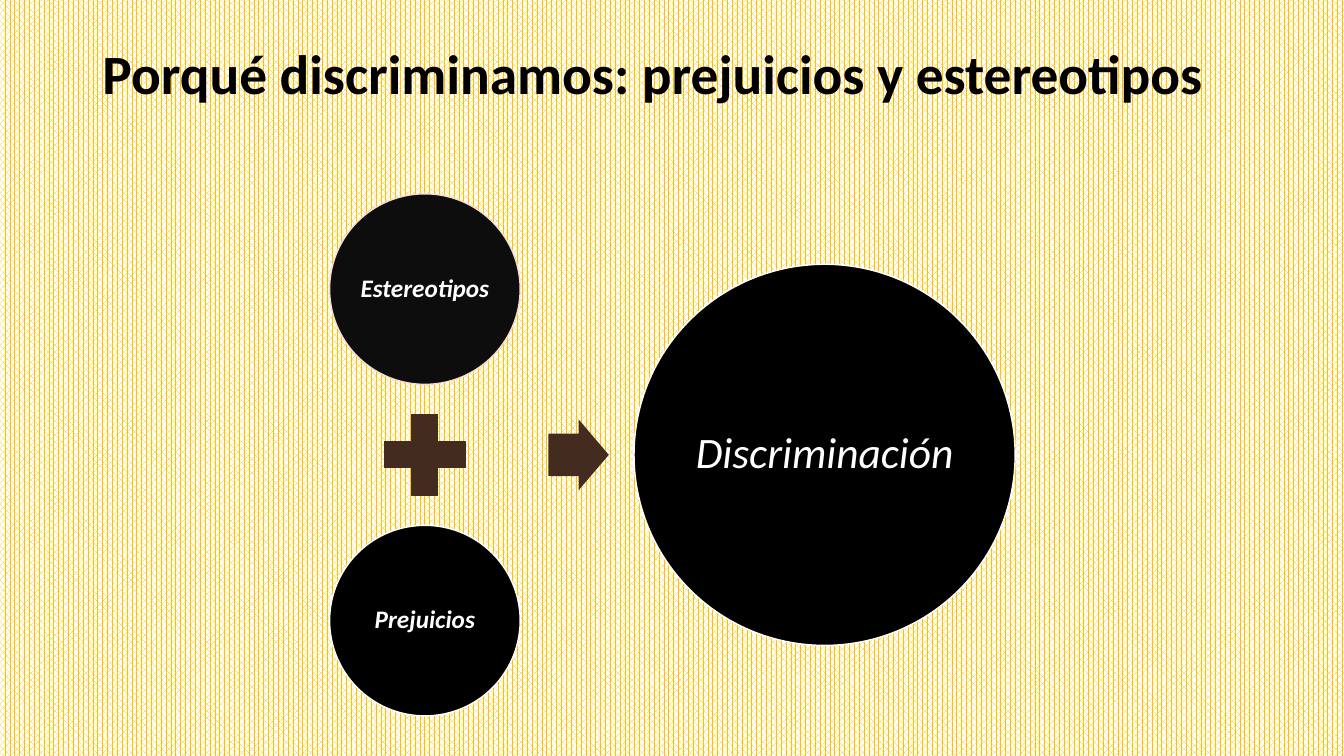
"""Build a slide showing how stereotypes and prejudices lead to discrimination."""
from dataclasses import dataclass

from pptx import Presentation
from pptx import util as u
from pptx.dml.color import RGBColor
from pptx.enum import dml, shapes, text
from pptx.shapes.autoshape import Shape
from pptx.slide import Slide
from pptx.text.text import Font

COLOURS = {
    "gold": "FFC000",
    "white": "FFFFFF",
    "black": "000000",
    "charcoal": "0D0D0D",
    "peach": "F5DDD2",
    "brown": "432B20",
}
FONT_NAME = "Calibri"
MIDDLE_Y = 324.9
CAUSES_X = 303.5
CAUSE_STEP = 118.4
CAUSE_SIZE = 136.1


@dataclass(frozen=True)
class Circle:
    """A labelled circle placed by its centre."""

    label: str
    centre_x: float
    centre_y: float
    diameter: float
    fill: str
    line: str
    font_size: float
    inset: float
    bold: bool


@dataclass(frozen=True)
class Operator:
    """A plain sign between circles, placed by its centre."""

    kind: shapes.MSO_SHAPE
    centre_x: float
    width: float
    height: float
    line_width: float


CIRCLES = [
    Circle("Estereotipos", CAUSES_X, MIDDLE_Y - CAUSE_STEP, CAUSE_SIZE,
           "charcoal", "peach", 18, 2, True),
    Circle("Prejuicios", CAUSES_X, MIDDLE_Y + CAUSE_STEP, CAUSE_SIZE,
           "black", "white", 18, 2, True),
    Circle("Discriminación", 589, MIDDLE_Y, 272.2,
           "black", "white", 31, 3, False),
]
OPERATORS = [
    Operator(shapes.MSO_SHAPE.MATH_PLUS, CAUSES_X, 79, 79, 0.75),
    Operator(shapes.MSO_SHAPE.RIGHT_ARROW, 413.3, 43.2, 50.6, 0),
]


def colour(name: str) -> RGBColor:
    """Return the named colour."""
    return RGBColor.from_string(COLOURS[name])


def format_font(font: Font, size: float, name: str, bold: bool, italic: bool) -> None:
    """Apply the typeface, size, colour and style."""
    font.name = FONT_NAME
    font.size = u.Pt(size)
    font.color.rgb = colour(name)
    font.bold = bold
    font.italic = italic


def add_centred_shape(slide: Slide, kind: shapes.MSO_SHAPE, centre_x: float,
                      centre_y: float, width: float, height: float, fill: str) -> Shape:
    """Add a filled shape around a centre point."""
    shape = slide.shapes.add_shape(
        kind, u.Pt(centre_x - width / 2), u.Pt(centre_y - height / 2),
        u.Pt(width), u.Pt(height))
    shape.shadow.inherit = False
    shape.fill.solid()
    shape.fill.fore_color.rgb = colour(fill)
    return shape


def set_line(shape: Shape, name: str, width: float) -> None:
    """Outline a shape, or remove its outline when the width is zero."""
    if width:
        shape.line.color.rgb = colour(name)
        shape.line.width = u.Pt(width)
    else:
        shape.line.fill.background()


def draw_circle(slide: Slide, circle: Circle) -> None:
    """Draw one circle with its centred label."""
    shape = add_centred_shape(slide, shapes.MSO_SHAPE.OVAL, circle.centre_x,
                              circle.centre_y, circle.diameter, circle.diameter, circle.fill)
    set_line(shape, circle.line, 1)
    frame = shape.text_frame
    frame.text = circle.label
    frame.word_wrap = False
    frame.vertical_anchor = text.MSO_ANCHOR.MIDDLE
    frame.margin_left = frame.margin_right = u.Pt(circle.inset)
    frame.margin_top = frame.margin_bottom = u.Pt(circle.inset)
    paragraph = frame.paragraphs[0]
    paragraph.alignment = text.PP_ALIGN.CENTER
    paragraph.line_spacing = 0.9
    format_font(paragraph.runs[0].font, circle.font_size, "white", circle.bold, True)


def draw_operator(slide: Slide, operator: Operator) -> None:
    """Draw one sign on the middle line."""
    shape = add_centred_shape(slide, operator.kind, operator.centre_x, MIDDLE_Y,
                              operator.width, operator.height, "brown")
    set_line(shape, "brown", operator.line_width)
    if operator.kind == shapes.MSO_SHAPE.RIGHT_ARROW:
        shape.adjustments[0] = 0.6
        shape.adjustments[1] = 0.5


def draw_title(slide: Slide) -> None:
    """Place and format the title, which ends in a line break."""
    title = slide.shapes.title
    title.left, title.top = u.Pt(66), u.Pt(28.75)
    title.width, title.height = u.Pt(828), u.Pt(104.4)
    frame = title.text_frame
    frame.text = "Porqué discriminamos: prejuicios y estereotipos"
    frame.word_wrap = True
    frame.vertical_anchor = text.MSO_ANCHOR.MIDDLE
    paragraph = frame.paragraphs[0]
    paragraph.alignment = text.PP_ALIGN.LEFT
    paragraph.line_spacing = 0.9
    format_font(paragraph.runs[0].font, 39.6, "black", True, False)
    paragraph.add_line_break()


def draw_background(slide: Slide) -> None:
    """Cover the background with a gold pattern."""
    fill = slide.background.fill
    fill.patterned()
    fill.pattern = dml.MSO_PATTERN.PERCENT_70
    fill.fore_color.rgb = colour("gold")
    fill.back_color.rgb = colour("white")


def main() -> None:
    """Build and save the presentation."""
    presentation = Presentation()
    presentation.slide_width, presentation.slide_height = u.Pt(960), u.Pt(540)
    slide = presentation.slides.add_slide(presentation.slide_layouts[5])
    draw_background(slide)
    draw_title(slide)
    for circle in CIRCLES:
        draw_circle(slide, circle)
    for operator in OPERATORS:
        draw_operator(slide, operator)
    presentation.save("out.pptx")


if __name__ == "__main__":
    main()
